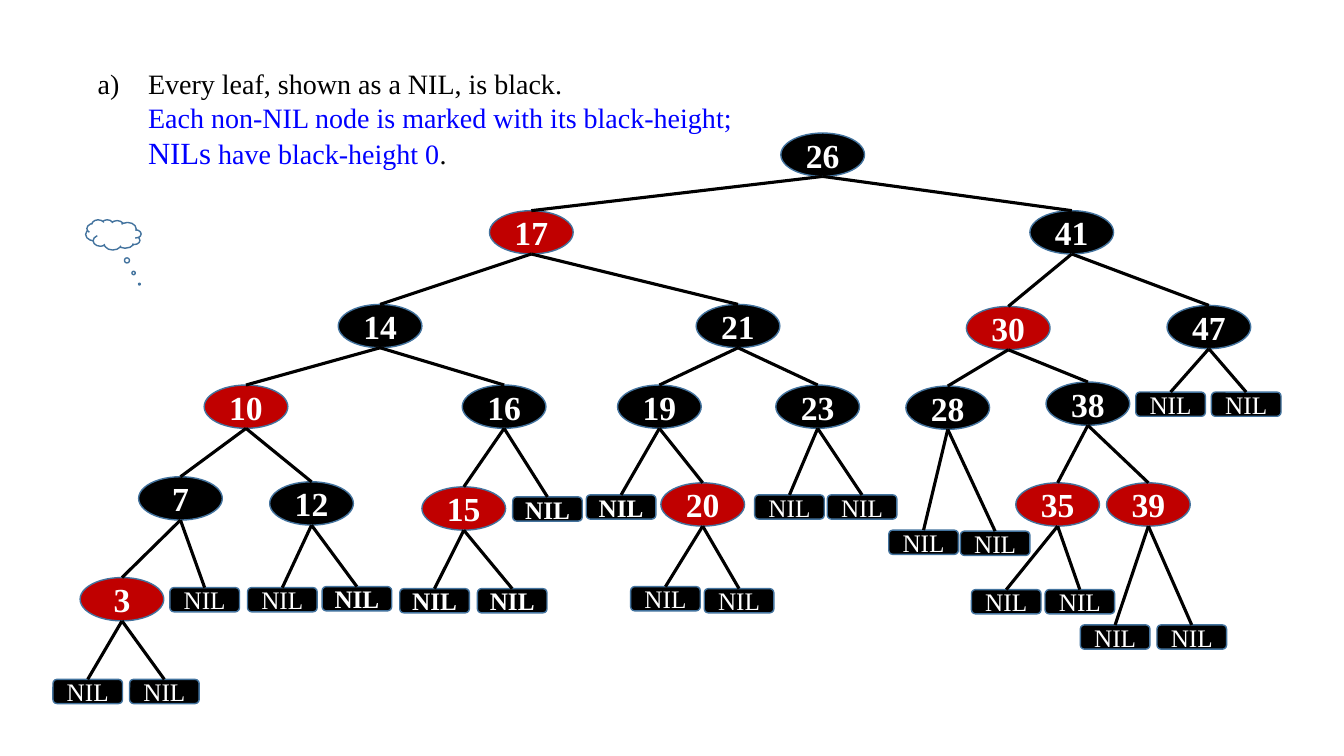
from dataclasses import dataclass

from lxml.etree import SubElement
from pptx import Presentation
from pptx.dml.color import RGBColor
from pptx.enum.shapes import MSO_CONNECTOR, MSO_SHAPE
from pptx.enum.text import MSO_ANCHOR, PP_ALIGN
from pptx.oxml.ns import qn
from pptx.util import Inches, Pt


@dataclass(frozen=True)
class Theme:
    """Colours, fonts and type sizes of the slide."""
    face: str = "Times New Roman"
    black: str = "000000"
    red: str = "C00000"
    white: str = "FFFFFF"
    blue: str = "0000FF"
    rim: str = "43739E"
    key: int = 24
    nil: int = 18
    body: int = 20
    large: int = 22
    thin: float = 1
    edge: float = 2.25


@dataclass(frozen=True)
class Box:
    """A region of the slide in inches."""
    left: float
    top: float
    width: float
    height: float


@dataclass(frozen=True)
class Kind:
    """Look of one sort of tree node."""
    form: int
    width: float
    height: float
    fill: str
    size: int
    bold: bool


LOOK = Theme()
KINDS = {
    "black": Kind(MSO_SHAPE.OVAL, 0.83, 0.43, LOOK.black, LOOK.key, True),
    "red": Kind(MSO_SHAPE.OVAL, 0.83, 0.43, LOOK.red, LOOK.key, True),
    "nil": Kind(MSO_SHAPE.ROUNDED_RECTANGLE, 0.69, 0.24, LOOK.black, LOOK.nil, False),
    "bold": Kind(MSO_SHAPE.ROUNDED_RECTANGLE, 0.69, 0.24, LOOK.black, LOOK.nil, True),
}


def leaf(mid, top, kind="nil"):
    """Return a NIL leaf at its top centre."""
    return "NIL", mid, top, kind, []


TREE = ("26", 7.66, 0.02, "black", [
    ("17", 4.77, 0.79, "red", [
        ("14", 3.27, 1.72, "black", [
            ("10", 1.94, 2.52, "red", [
                ("7", 1.29, 3.43, "black", [
                    ("3", 0.71, 4.43, "red", [leaf(0.37, 5.44), leaf(1.13, 5.44)]),
                    leaf(1.53, 4.53)]),
                ("12", 2.59, 3.48, "black", [
                    leaf(2.3, 4.53), leaf(3.04, 4.52, "bold")])]),
            ("16", 4.5, 2.52, "black", [
                ("15", 4.1, 3.53, "red", [
                    leaf(3.81, 4.54, "bold"), leaf(4.58, 4.54, "bold")]),
                leaf(4.93, 3.63, "bold")])]),
        ("21", 6.82, 1.72, "black", [
            ("19", 6.04, 2.52, "black", [
                leaf(5.66, 3.61, "bold"),
                ("20", 6.47, 3.49, "red", [leaf(6.1, 4.52), leaf(6.83, 4.54)])]),
            ("23", 7.61, 2.52, "black", [leaf(7.33, 3.61), leaf(8.05, 3.61)])])]),
    ("41", 10.13, 0.79, "black", [
        ("30", 9.5, 1.74, "red", [
            ("28", 8.9, 2.53, "black", [leaf(8.66, 3.96), leaf(9.37, 3.97)]),
            ("38", 10.29, 2.49, "black", [
                ("35", 9.99, 3.49, "red", [leaf(9.48, 4.55), leaf(10.21, 4.55)]),
                ("39", 10.89, 3.49, "red", [leaf(10.56, 4.9), leaf(11.32, 4.9)])])]),
        ("47", 11.49, 1.73, "black", [leaf(11.11, 2.59), leaf(11.86, 2.59)])])])

NOTE = [
    [("Every leaf, shown as a NIL, is black.", LOOK.body, LOOK.black)],
    [("Each non-NIL node is marked with its black-height;", LOOK.body, LOOK.blue)],
    [("NILs", LOOK.large, LOOK.blue),
     (" have black-height 0", LOOK.body, LOOK.blue),
     (".", LOOK.body, LOOK.black)],
]


def dress(item, style):
    """Set each attribute named in the style."""
    for name, value in style.items():
        setattr(item, name, value)


def write(para, text, size, tint, bold=False):
    """Add one run of text to a paragraph."""
    run = para.add_run()
    run.text = text
    dress(run.font, {"name": LOOK.face, "size": Pt(size), "bold": bold})
    run.font.color.rgb = RGBColor.from_string(tint)


def draw(slide, form, box, fill):
    """Add a filled shape with a thin rim."""
    shape = slide.shapes.add_shape(
        form, Inches(box.left), Inches(box.top), Inches(box.width), Inches(box.height))
    shape.shadow.inherit = False
    shape.fill.solid()
    shape.fill.fore_color.rgb = RGBColor.from_string(fill)
    shape.line.color.rgb = RGBColor.from_string(LOOK.rim)
    shape.line.width = Pt(LOOK.thin)
    return shape


def link(slide, start, end):
    """Join two points with a tree edge."""
    line = slide.shapes.add_connector(
        MSO_CONNECTOR.STRAIGHT, *(Inches(value) for value in (*start, *end)))
    line.line.color.rgb = RGBColor.from_string(LOOK.black)
    line.line.width = Pt(LOOK.edge)
    SubElement(line._element.spPr, qn("a:effectLst"))


def grow(slide, box, node):
    """Draw a node and the branches below it, and return its top centre."""
    text, mid, top, name, kids = node
    kind = KINDS[name]
    mid, top = box.left + mid, box.top + top
    area = Box(mid - kind.width / 2, top, kind.width, kind.height)
    shape = draw(slide, kind.form, area, kind.fill)
    shape.text_frame.vertical_anchor = MSO_ANCHOR.MIDDLE
    para = shape.text_frame.paragraphs[0]
    para.alignment = PP_ALIGN.CENTER
    write(para, text, kind.size, LOOK.white, kind.bold)
    for kid in kids:
        link(slide, (mid, top + kind.height), grow(slide, box, kid))
    return mid, top


def note(slide, box):
    """Write the lettered statement in its box."""
    area = slide.shapes.add_textbox(
        Inches(box.left), Inches(box.top), Inches(box.width), Inches(box.height))
    frame = area.text_frame
    frame.word_wrap = True
    for index, runs in enumerate(NOTE):
        para = frame.add_paragraph() if index else frame.paragraphs[0]
        props = para._p.get_or_add_pPr()
        props.set("marL", str(Inches(0.5)))
        if index == 0:
            props.set("indent", str(Inches(-0.5)))
            SubElement(props, qn("a:buAutoNum"), type="alphaLcParenR")
        for run in runs:
            write(para, *run)


def cloud(slide, box):
    """Draw the empty thought cloud with its tail to the right."""
    shape = draw(slide, MSO_SHAPE.CLOUD_CALLOUT, box, LOOK.white)
    shape.adjustments[0] = -0.47
    shape.adjustments[1] = 1.63
    shape._element.spPr.xfrm.set("flipH", "1")


def main():
    """Build and save the slide."""
    deck = Presentation()
    dress(deck, {"slide_width": Inches(13.33), "slide_height": Inches(7.5)})
    slide = deck.slides.add_slide(deck.slide_layouts[6])
    grow(slide, Box(0.5, 1.3, 12.3, 5.7), TREE)
    note(slide, Box(0.87, 0.61, 7.24, 1.14))
    cloud(slide, Box(0.85, 2.18, 0.55, 0.3))
    deck.save("out.pptx")


if __name__ == "__main__":
    main()
